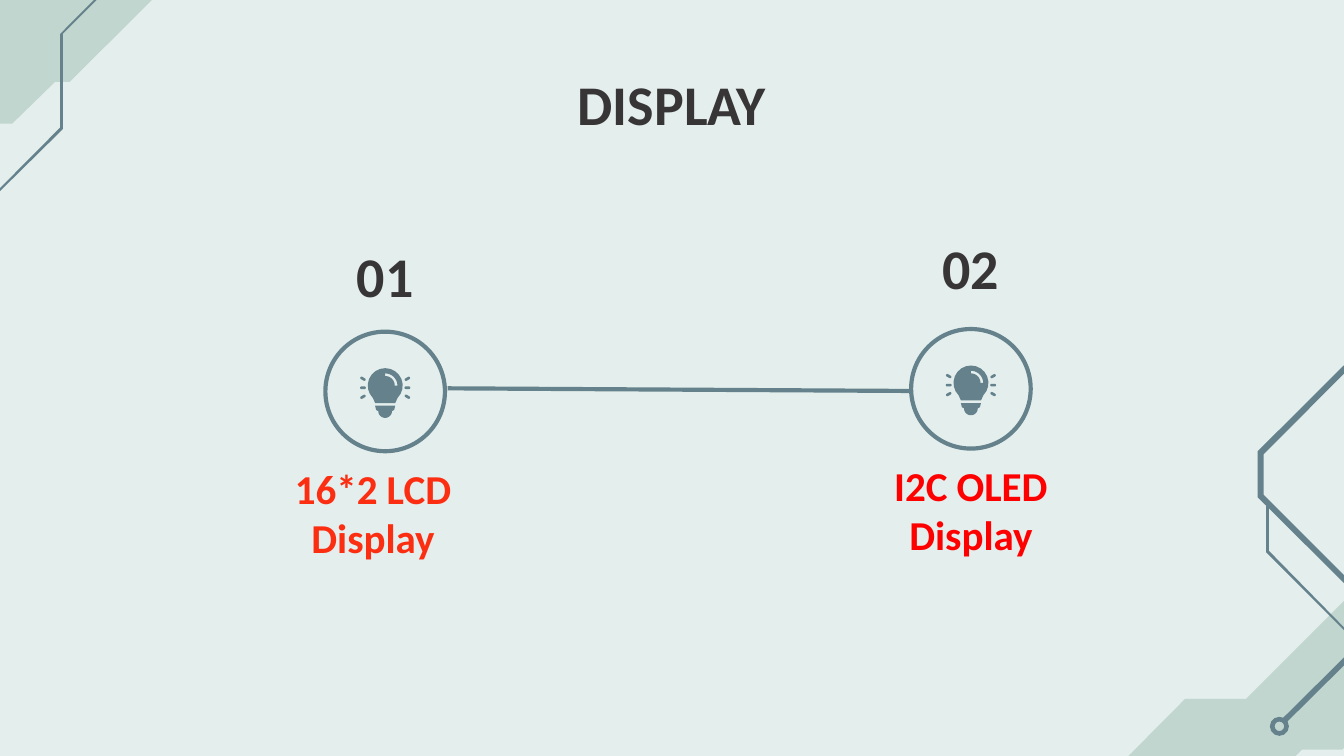
from math import cos, radians, sin

from lxml.etree import SubElement
from pptx import Presentation
from pptx.dml.color import RGBColor
from pptx.enum.shapes import MSO_CONNECTOR as Connector, MSO_SHAPE as Shape
from pptx.enum.text import MSO_ANCHOR as Anchor, PP_ALIGN as Align
from pptx.oxml.ns import qn
from pptx.util import Cm, Pt

BACKGROUND, BAND, SLATE, INK = "E3EEED", "C1D6CE", "64818C", "383536"

TITLE = "DISPLAY"
ITEMS = [
    {"number": "01", "label": "16*2 LCD Display", "color": "FC2E12",
     "center": (7.28, 7.4), "number_top": 4.47, "label_center": 7.05},
    {"number": "02", "label": "I2C OLED Display", "color": "FF0000",
     "center": (18.35, 7.35), "number_top": 4.32, "label_center": 18.35},
]
LINK = [(8.46, 7.34), (17.2, 7.39)]

CORNERS = [
    (BAND, [(3.02, -1.83), (1.65, -0.46), (0.41, -0.46), (-2.39, 2.34),
            (0.23, 2.34), (1.04, 1.55), (1.32, 1.55), (4.7, -1.83)]),
    (SLATE, [(3.07, -1.3), (1.14, 0.64), (1.14, 2.41), (-0.3, 3.86),
             (-0.28, 3.89), (1.19, 2.44), (1.19, 0.64), (3.1, -1.27)]),
    (BAND, [(26.09, 10.67), (23.55, 13.21), (22.4, 13.21), (20.96, 14.66),
            (20.96, 15.32), (20.04, 16.23), (22.53, 16.23), (24.61, 14.17),
            (25.37, 14.17), (26.87, 12.67), (26.87, 12.27), (28.47, 10.67)]),
    (SLATE, [(30.94, 3.35), (28.47, 5.82), (26.49, 5.82), (23.77, 8.53),
             (23.77, 9.4), (25.43, 11.05), (25.43, 12.4), (24.21, 13.61),
             (24.28, 13.69), (25.53, 12.45), (25.53, 11), (23.88, 9.35),
             (23.88, 8.59), (26.54, 5.92), (28.5, 5.92), (31.01, 3.4)]),
    (SLATE, [(23.93, 9.5), (23.93, 10.44), (25.45, 11.96),
             (25.48, 11.94), (23.98, 10.41), (23.98, 9.5)]),
]
NODE_CENTER, NODE_SIZE = (24.18, 13.73), 0.36
CIRCLE_SIZE = 2.26


def rgb(color):
    return RGBColor.from_string(color)


def paint(shape, color):
    shape.shadow.inherit = False
    shape.fill.solid()
    shape.fill.fore_color.rgb = rgb(color)
    shape.line.fill.background()


def arc(radius, start, end, center_y=0.0):
    steps = 16
    angles = [radians(start + (end - start) * i / steps) for i in range(steps + 1)]
    return [(radius * cos(a), center_y + radius * sin(a)) for a in angles]


def add_outline(contours, color, origin=(0, 0)):
    placed = [[(Cm(origin[0] + x), Cm(origin[1] + y)) for x, y in contour]
              for contour in contours]
    builder = slide.shapes.build_freeform(*placed[0][0])
    for index, contour in enumerate(placed):
        if index:
            builder.move_to(*contour[0])
        builder.add_line_segments(contour[1:], close=True)
    paint(builder.convert_to_shape(), color)


def add_centered(kind, center, width, height):
    shape = slide.shapes.add_shape(kind, Cm(center[0] - width / 2),
                                   Cm(center[1] - height / 2), Cm(width), Cm(height))
    shape.shadow.inherit = False
    return shape


def add_text(text, center_x, top, width, height, size, color, anchor=Anchor.MIDDLE):
    box = slide.shapes.add_textbox(Cm(center_x - width / 2), Cm(top), Cm(width), Cm(height))
    frame = box.text_frame
    frame.word_wrap = True
    frame.vertical_anchor = anchor
    frame.margin_left = frame.margin_right = Cm(0.25)
    frame.margin_top = frame.margin_bottom = Cm(0.25)
    paragraph = frame.paragraphs[0]
    paragraph.text = text
    paragraph.alignment = Align.CENTER
    font = paragraph.font
    font.name, font.size, font.bold = "Calibri", Pt(size), True
    font.color.rgb = rgb(color)


def add_bulb(x, y):
    head = arc(0.33, 135, 405) + [(0.19, 0.33), (-0.19, 0.33)]
    highlight = arc(0.23, -90, 0) + arc(0.18, 0, -90)
    base = [(-0.19, 0.38), (0.19, 0.38), (0.17, 0.46)] + arc(0.13, 0, 180, 0.48) + [(-0.17, 0.46)]
    add_outline([head, highlight], SLATE, (x, y))
    add_outline([base], SLATE, (x, y))
    for side in (-1, 1):
        for level in (-1, 0, 1):
            ray = add_centered(Shape.ROUNDED_RECTANGLE,
                               (x + 0.42 * side, y + 0.04 + 0.17 * level), 0.11, 0.05)
            ray.adjustments[0] = 0.5
            ray.rotation = 30 * side * level
            paint(ray, SLATE)


presentation = Presentation()
presentation.slide_width, presentation.slide_height = Cm(25.4), Cm(14.29)
slide = presentation.slides.add_slide(presentation.slide_layouts[6])
slide.background.fill.solid()
slide.background.fill.fore_color.rgb = rgb(BACKGROUND)

for color, points in CORNERS:
    add_outline([points], color)
node = add_centered(Shape.DONUT, NODE_CENTER, NODE_SIZE, NODE_SIZE)
node.adjustments[0] = 0.25
paint(node, SLATE)

link = slide.shapes.add_connector(Connector.STRAIGHT, *[Cm(v) for end in LINK for v in end])
link.line.color.rgb = rgb(SLATE)
link.line.width = Pt(2.25)
SubElement(link._element.spPr, qn("a:effectLst"))

add_text(TITLE, 12.7, 1.07, 21.4, 1.65, 30, INK, Anchor.TOP)
for item in ITEMS:
    x, y = item["center"]
    circle = add_centered(Shape.OVAL, (x, y), CIRCLE_SIZE, CIRCLE_SIZE)
    circle.fill.background()
    circle.line.color.rgb = rgb(SLATE)
    circle.line.width = Pt(2.25)
    add_bulb(x, y - 0.11)
    add_text(item["number"], x, item["number_top"], 4.29, 1.47, 30, INK)
    add_text(item["label"], item["label_center"], y + 1.77, 5.05, 1.04, 22, item["color"])

presentation.save("out.pptx")
